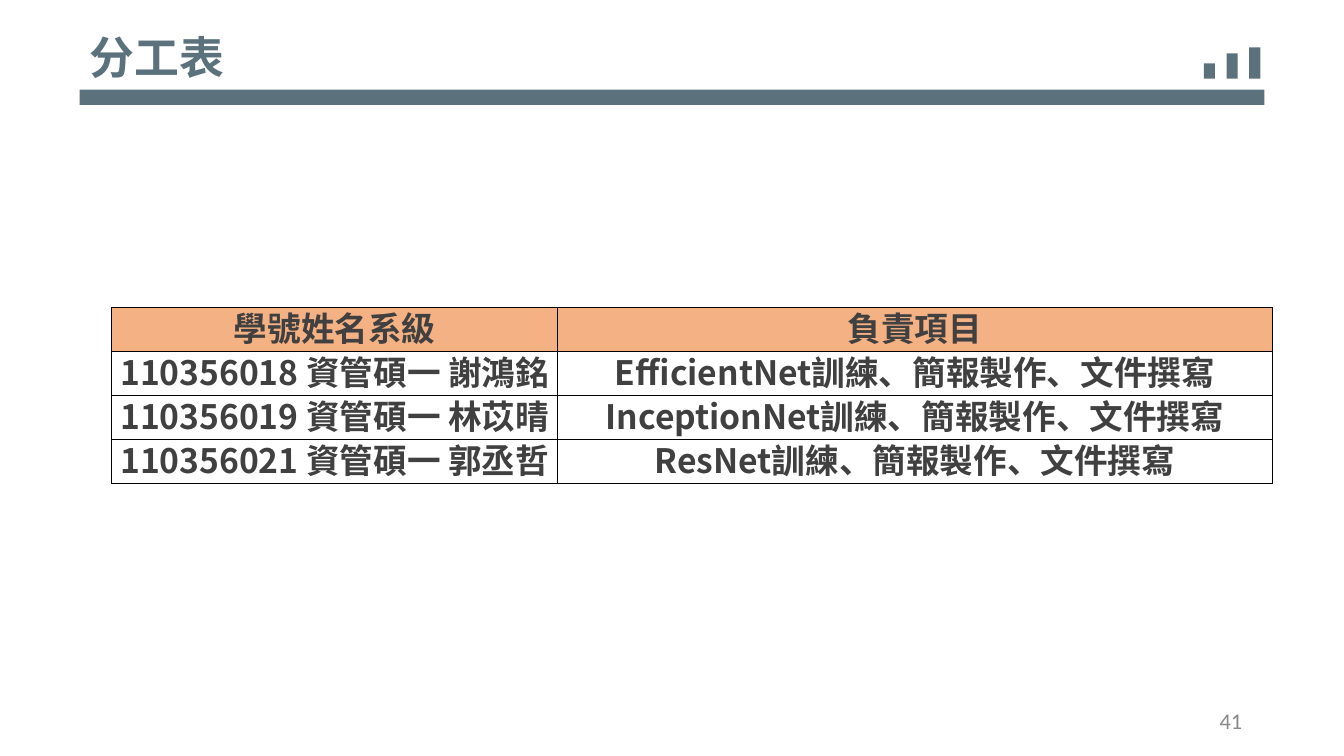
import pptx
import pptx.util
import pptx.dml.color
import pptx.enum.shapes
import pptx.enum.text
import pptx.oxml
import pptx.oxml.ns

Inches = pptx.util.Inches
Pt = pptx.util.Pt
ALIGN = pptx.enum.text.PP_ALIGN
ANCHOR = pptx.enum.text.MSO_ANCHOR

TITLE = "分工表"
PAGE = "41"
ROWS = [
    ("學號姓名系級", "負責項目"),
    ("110356018 資管碩一 謝鴻銘", "EfficientNet訓練、簡報製作、文件撰寫"),
    ("110356019 資管碩一 林苡晴", "InceptionNet訓練、簡報製作、文件撰寫"),
    ("110356021 資管碩一 郭丞哲", "ResNet訓練、簡報製作、文件撰寫"),
]
WIDTHS = (4.42, 7.09)
HEIGHT = 1.75
BARS = (0.15, 0.25, 0.31)

THEME = {
    "slate": "5B727D", "head": "F4B183", "ink": "404040",
    "gray": "888888", "edge": "000000",
    "title": 32, "cell": 24, "page": 16, "line": 28,
    "title font": "Noto Sans CJK TC", "cell font": "Noto Sans CJK SC",
    "page font": "Calibri",
}


def color(name):
    return pptx.dml.color.RGBColor.from_string(THEME[name])


def write(frame, text, size, font, ink, bold=False, align=ALIGN.LEFT, line=None):
    para = frame.paragraphs[0]
    para.alignment = align
    if line:
        para.line_spacing = Pt(line)
    run = para.add_run()
    run.text = text
    run.font.size = Pt(THEME[size])
    run.font.name = THEME[font]
    run.font.bold = bold
    run.font.color.rgb = color(ink)
    east = pptx.oxml.parse_xml(
        f'<a:ea {pptx.oxml.ns.nsdecls("a")} typeface="{THEME[font]}"/>')
    run.font._element.append(east)


def label(slide, box, text, anchor=ANCHOR.TOP, **style):
    frame = slide.shapes.add_textbox(*map(Inches, box)).text_frame
    frame.word_wrap = True
    frame.vertical_anchor = anchor
    write(frame, text, **style)


def block(shapes, box):
    kind = pptx.enum.shapes.MSO_SHAPE.RECTANGLE
    shape = shapes.add_shape(kind, *map(Inches, box))
    shape.shadow.inherit = False
    shape.fill.solid()
    shape.fill.fore_color.rgb = color("slate")
    shape.line.fill.background()


def border(cell):
    props = cell._tc.get_or_add_tcPr()
    for side in "LRTB":
        props.append(pptx.oxml.parse_xml(
            f'<a:ln{side} {pptx.oxml.ns.nsdecls("a")} w="{Pt(1)}"><a:solidFill>'
            f'<a:srgbClr val="{THEME["edge"]}"/></a:solidFill></a:ln{side}>'))


def duties(slide):
    box = (1.11, 3.05, sum(WIDTHS), HEIGHT)
    table = slide.shapes.add_table(
        len(ROWS), len(WIDTHS), *map(Inches, box)).table
    table.first_row = table.horz_banding = False
    for col, width in zip(table.columns, WIDTHS):
        col.width = Inches(width)
    for row, texts in enumerate(ROWS):
        table.rows[row].height = Inches(HEIGHT / len(ROWS))
        for col, text in enumerate(texts):
            cell = table.cell(row, col)
            cell.margin_left = cell.margin_right = Inches(0.03)
            cell.margin_top = Inches(0.04)
            cell.margin_bottom = 0
            cell.vertical_anchor = ANCHOR.MIDDLE
            border(cell)
            if row == 0:
                cell.fill.solid()
                cell.fill.fore_color.rgb = color("head")
            else:
                cell.fill.background()
            write(cell.text_frame, text, "cell", "cell font", "ink",
                  bold=True, align=ALIGN.CENTER, line=THEME["line"])


def main():
    deck = pptx.Presentation()
    deck.slide_width = Inches(13.33)
    deck.slide_height = Inches(7.5)
    slide = deck.slides.add_slide(deck.slide_layouts[6])
    block(slide.shapes, (0.79, 0.89, 11.75, 0.15))
    group = slide.shapes.add_group_shape()
    for index, tall in enumerate(BARS):
        block(group.shapes, (11.94 + index * 0.225, 0.78 - tall, 0.11, tall))
    label(slide, (0.79, 0.25, 9.57, 0.64), TITLE, size="title",
          font="title font", ink="slate", bold=True)
    label(slide, (9.42, 6.95, 3, 0.4), PAGE, anchor=ANCHOR.MIDDLE, size="page",
          font="page font", ink="gray", align=ALIGN.RIGHT)
    duties(slide)
    deck.save("out.pptx")


if __name__ == "__main__":
    main()
